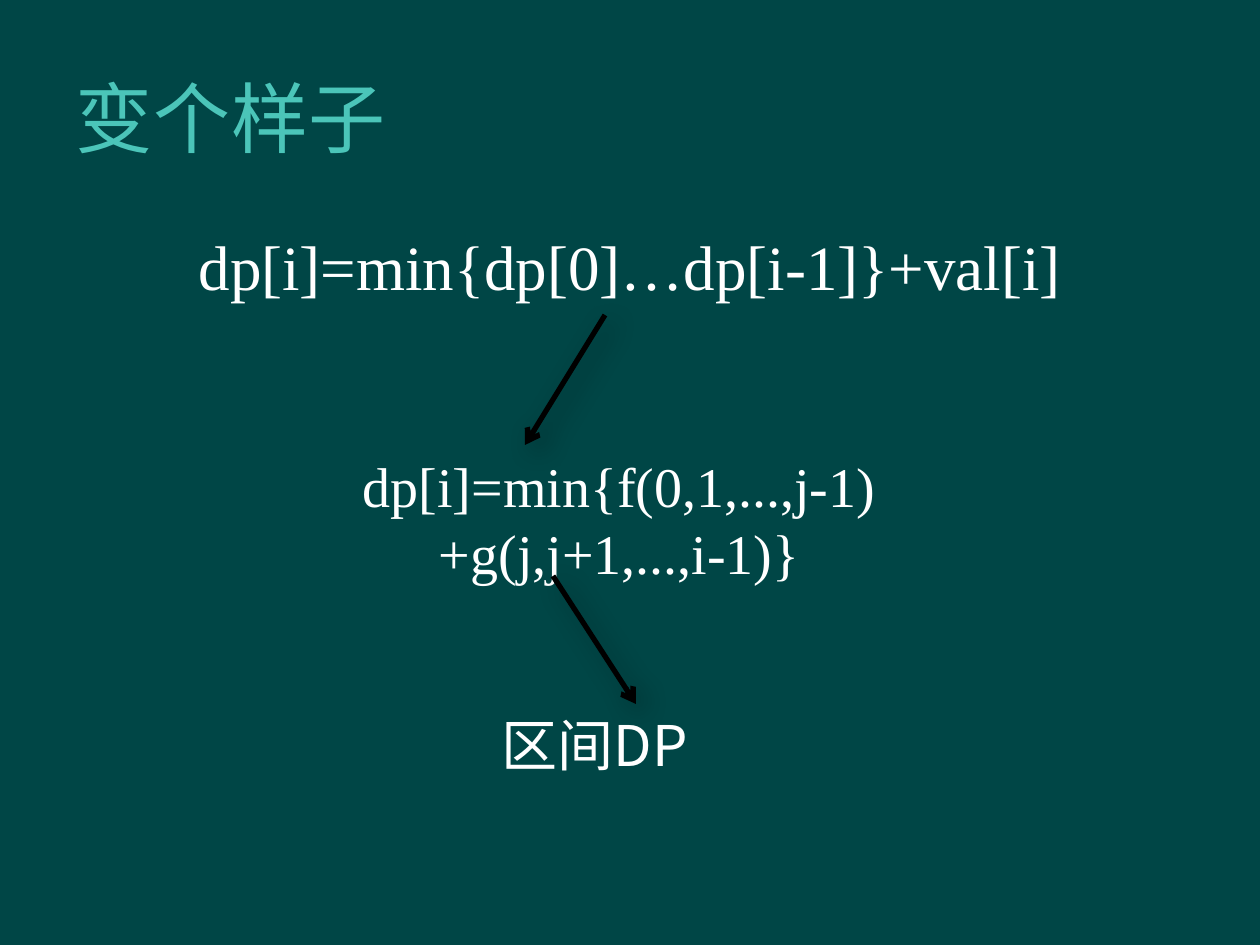
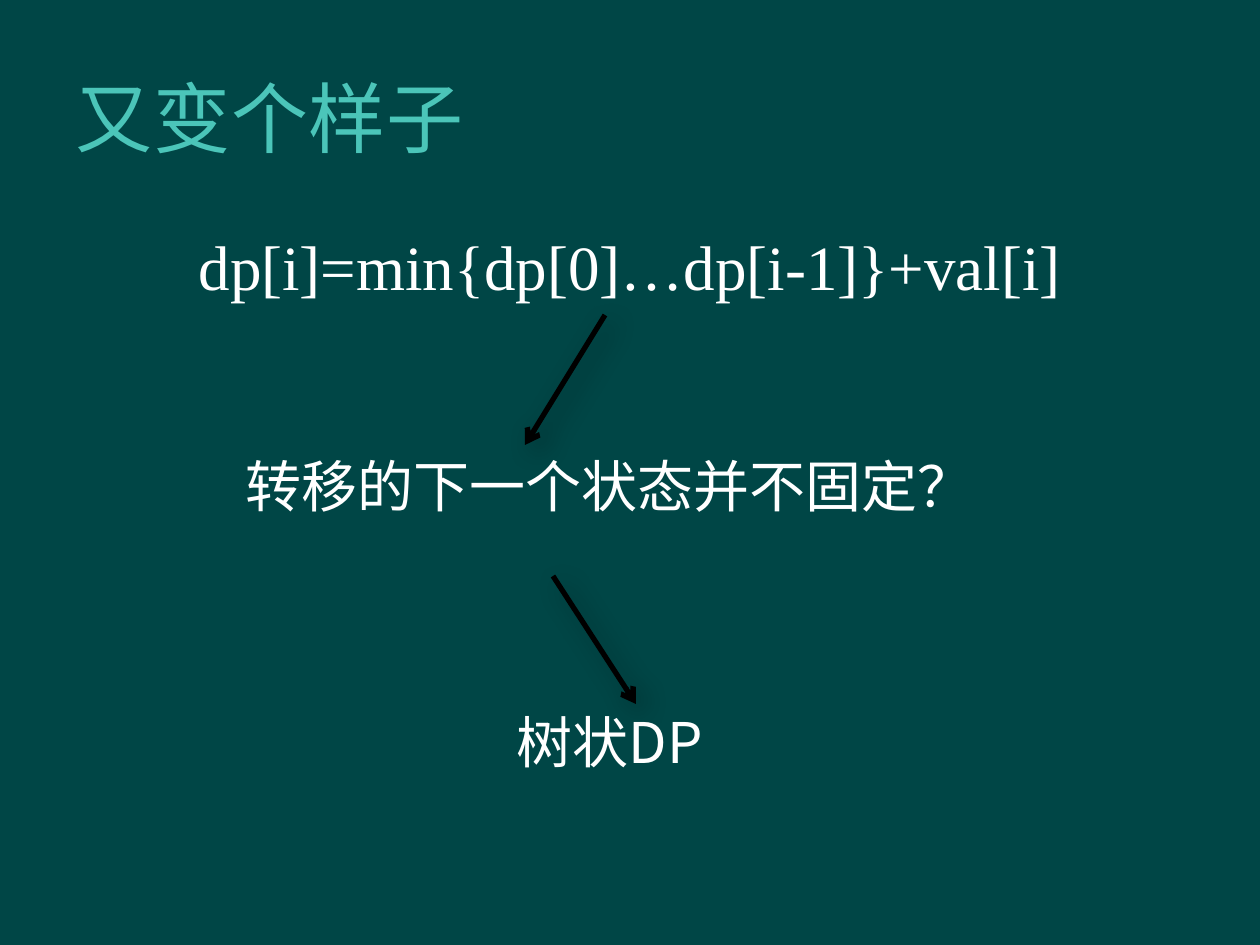
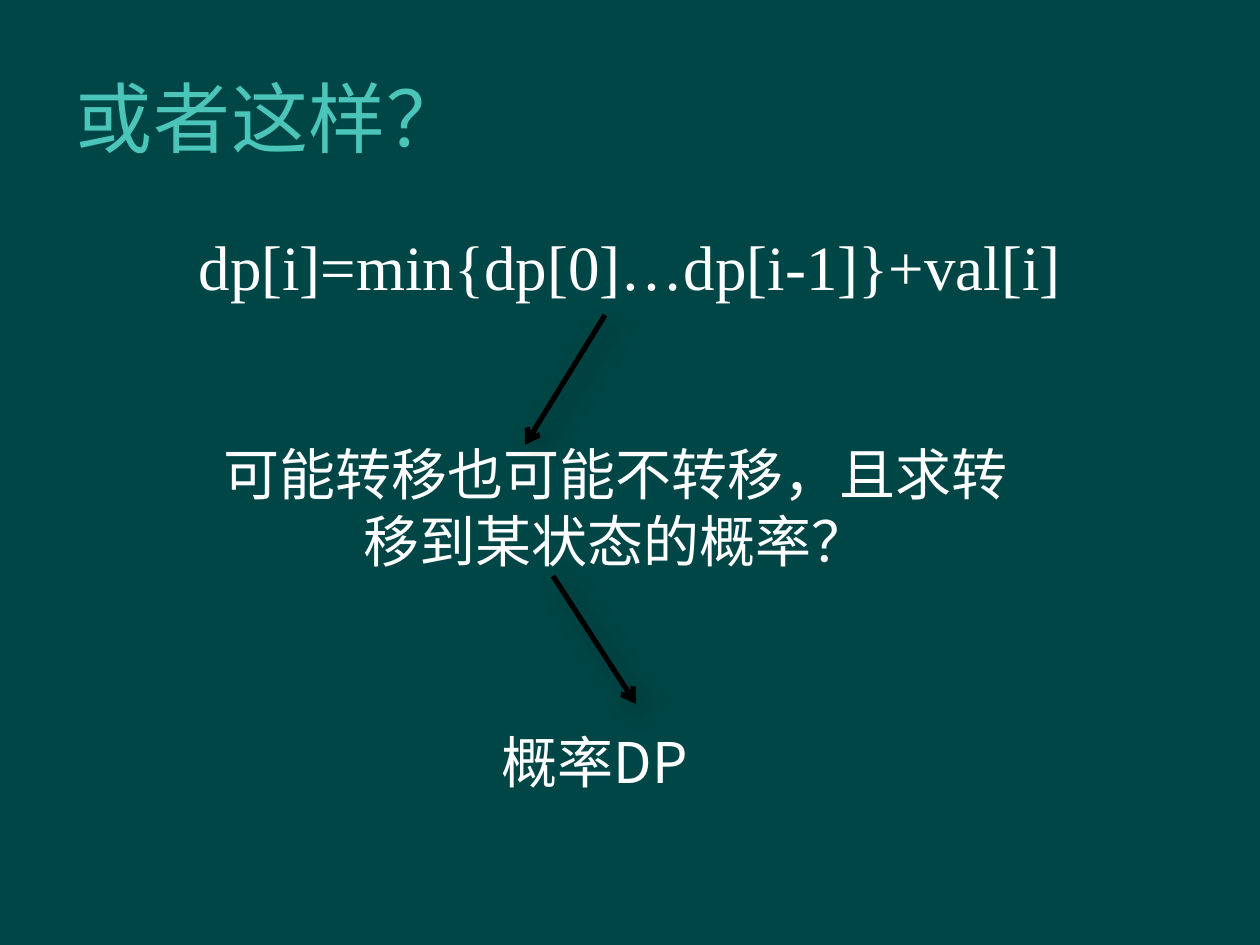
from lxml.etree import SubElement
from pptx import Presentation
from pptx.dml.color import RGBColor
from pptx.enum.shapes import MSO_CONNECTOR
from pptx.enum.text import MSO_ANCHOR, PP_ALIGN
from pptx.oxml.ns import qn
from pptx.util import Pt

PX = 914400 / 126
BACKGROUND, TITLE_COLOR, WHITE, BLACK = "004646", "4BC5B9", "FFFFFF", "000000"
CJK, SERIF = "Noto Sans CJK SC", "Times New Roman"

TITLE = {"size": Pt(44), "name": "Roboto"}
FORMULA = {"size": Pt(36), "name": SERIF}
DERIVED_FORMULA = {"size": Pt(32), "name": SERIF}
REMARK = {"size": Pt(32), "name": CJK}

RECURRENCE = "dp[i]=min{dp[0]…dp[i-1]}+val[i]"
ARROWS = [((605, 315), (525, 445)), ((553, 576), (636, 704))]

# title, (idea lines, box, font), (method, box)
SLIDES = [
    ("变个样子",
     (["dp[i]=min{f(0,1,...,j-1)", "+g(j,j+1,...,i-1)}"],
      (64, 445, 1111, 149), DERIVED_FORMULA),
     ("区间DP", (262, 704, 665, 81))),
    ("又变个样子",
     (["转移的下一个状态并不固定？"], (203, 445, 814, 81), REMARK),
     ("树状DP", (277, 701, 665, 81))),
    ("或者这样？",
     (["可能转移也可能不转移，且求转移到某状态的概率？"],
      (184, 433, 863, 149), REMARK),
     ("概率DP", (262, 721, 665, 81))),
]


def emu(*lengths):
    return [round(length * PX) for length in lengths]


def rgb(color):
    return RGBColor.from_string(color)


def add_text(s, lines, box, font, color=WHITE, align=PP_ALIGN.CENTER,
             anchor=MSO_ANCHOR.TOP, spacing=0):
    """Add one paragraph per line; spacing is in hundredths of a point."""
    tf = s.shapes.add_textbox(*emu(*box)).text_frame
    tf.word_wrap = True
    tf.vertical_anchor = anchor
    for i, line in enumerate(lines):
        p = tf.paragraphs[0] if i == 0 else tf.add_paragraph()
        p.alignment = align
        r = p.add_run()
        r.text = line
        for key, value in font.items():
            setattr(r.font, key, value)
        r.font.color.rgb = rgb(color)
        rPr = r.font._element
        SubElement(rPr, qn("a:ea"), typeface=CJK)
        if spacing:
            rPr.set("spc", str(spacing))


def add_shadow(spPr):
    effects = SubElement(spPr, qn("a:effectLst"))
    shadow = SubElement(effects, qn("a:outerShdw"), blurRad=str(Pt(15)),
                        dist=str(Pt(6.2)), dir=str(45 * 60000))
    color = SubElement(shadow, qn("a:srgbClr"), val=BLACK)
    SubElement(color, qn("a:alpha"), val="36000")


def add_arrow(s, start, end):
    sp = s.shapes.add_connector(MSO_CONNECTOR.STRAIGHT, *emu(*start, *end))
    sp.line.width = Pt(3)
    sp.line.color.rgb = rgb(BLACK)
    SubElement(sp.line._get_or_add_ln(), qn("a:tailEnd"), type="arrow")
    add_shadow(sp._element.spPr)


def add_slide(prs, title):
    s = prs.slides.add_slide(prs.slide_layouts[6])
    s.background.fill.solid()
    s.background.fill.fore_color.rgb = rgb(BACKGROUND)
    add_text(s, [title], (63, 38, 1071, 158), TITLE, TITLE_COLOR,
             PP_ALIGN.LEFT, MSO_ANCHOR.MIDDLE, spacing=50)
    return s


def main():
    prs = Presentation()
    prs.slide_width, prs.slide_height = emu(1260, 945)
    for title, (idea, idea_box, idea_font), (method, method_box) in SLIDES:
        s = add_slide(prs, title)
        add_text(s, [RECURRENCE], (63, 221, 1134, 123), FORMULA)
        add_text(s, idea, idea_box, idea_font)
        add_text(s, [method], method_box, REMARK)
        for start, end in ARROWS:
            add_arrow(s, start, end)
    prs.save("out.pptx")


if __name__ == "__main__":
    main()
